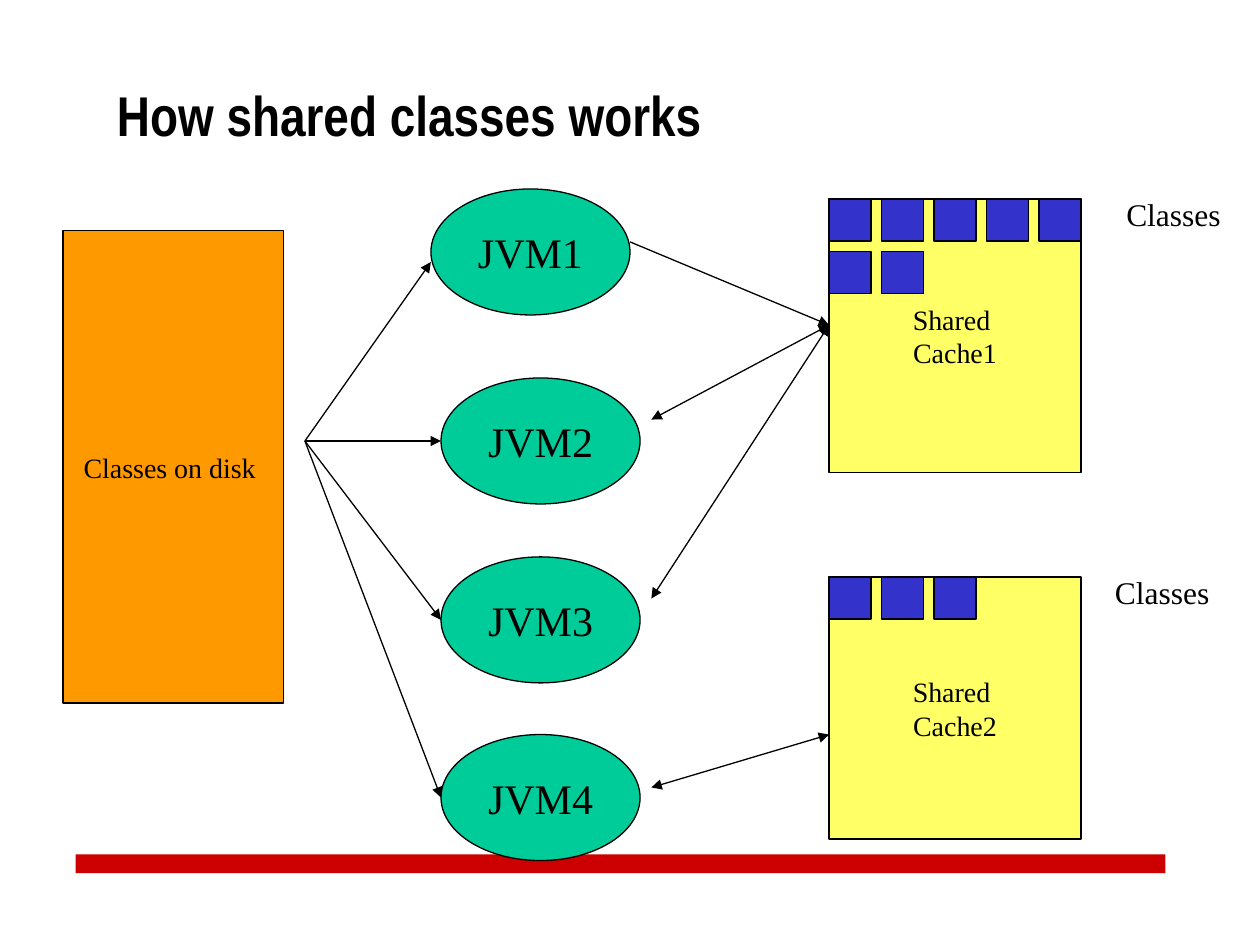
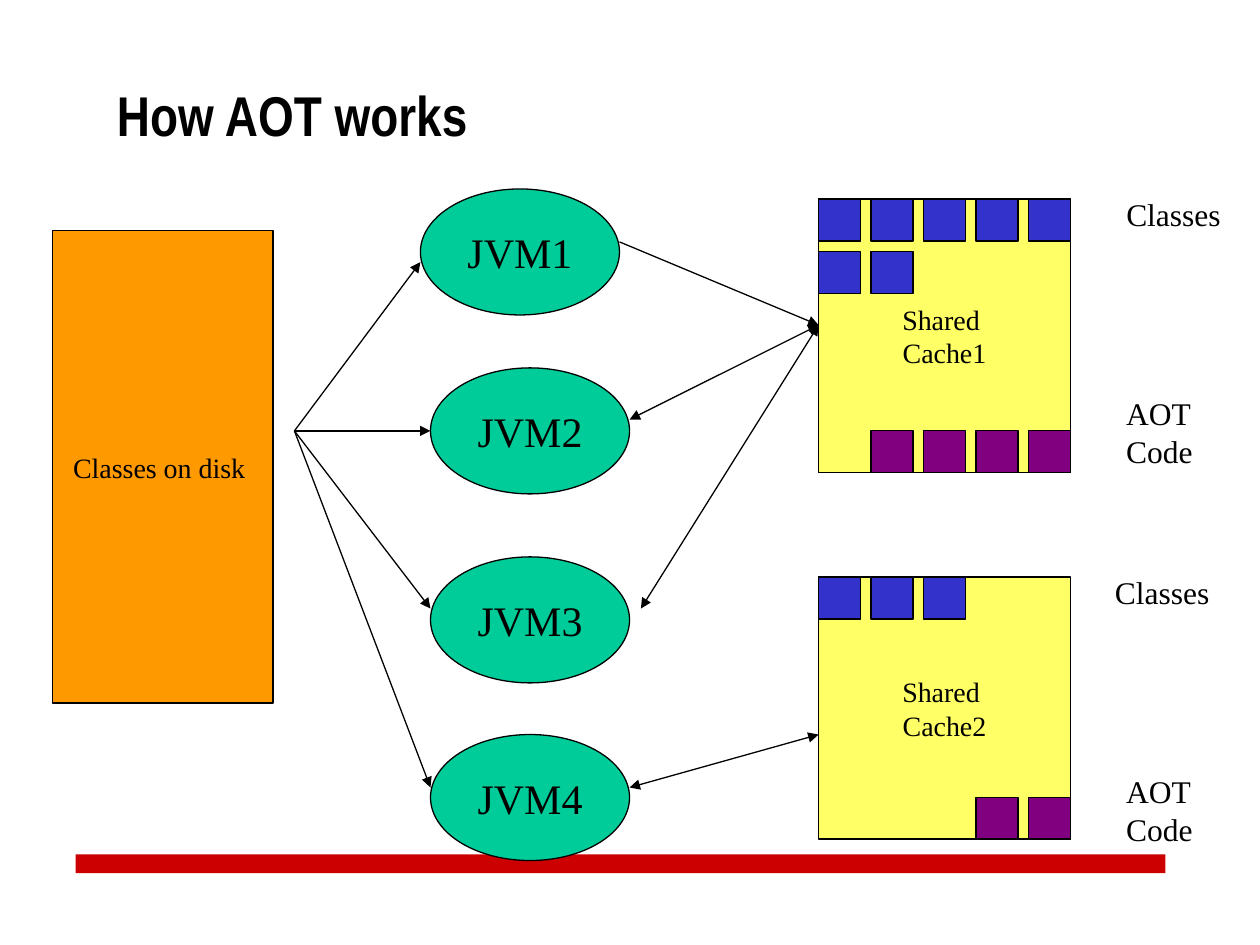
from pptx import Presentation
from pptx.dml.color import RGBColor
from pptx.enum.shapes import MSO_CONNECTOR as Connector, MSO_SHAPE as Shape
from pptx.enum.text import MSO_ANCHOR as Anchor, MSO_AUTO_SIZE as AutoSize, PP_ALIGN as Align
from pptx.oxml.ns import qn
from pptx.util import Inches, Pt
from lxml.etree import SubElement

# Content: x positions are common to both slides, "shift" moves the diagram sideways
PAGES = [
    {
        "title": "How shared classes works",
        "shift": 0,
        "jvm_tops": [1.5, 3, 4.42, 5.83],
        "disk_y": 3.5,
        "load_ys": [2.08, 3.5, 4.92, 6.33],
        "link_starts": [(5, 1.92), (5.17, 3.33), (5.17, 4.75), (5.17, 6.25)],
        "aot_counts": [0, 0],
    },
    {
        "title": "How AOT works",
        "shift": -1 / 12,
        "jvm_tops": [1.5, 2.92, 4.42, 5.83],
        "disk_y": 3.42,
        "load_ys": [2.08, 3.42, 4.83, 6.25],
        "link_starts": [(5, 1.92), (5.08, 3.33), (5.17, 4.83), (5.08, 6.25)],
        "aot_counts": [4, 2],
    },
]
# Name, top, height, class cells per row, left of the "Classes" label
CACHES = [
    ("Cache1", 1.58, 2.17, [5, 2], 8.84),
    ("Cache2", 4.58, 2.08, [3], 8.75),
]
JVM_LEFTS = [3.42, 3.5, 3.5, 3.5]
LINK_END_YS = [2.58, 2.58, 2.58, 5.83]

# Shared style
BLACK, RED, ORANGE = "000000", "CC0000", "FF9900"
GREEN, YELLOW, BLUE, PURPLE = "00CC99", "FFFF00", "3333CC", "800080"
TITLE_FONT, BODY_FONT = "Arial Narrow", "Times New Roman"
CACHE_LEFT, CACHE_WIDTH = 6.58, 2
CELL, PITCH = 1 / 3, 5 / 12


def color(value):
    return RGBColor.from_string(value)


def write(shape, text, size, align=Align.LEFT, font=BODY_FONT, bold=False):
    frame = shape.text_frame
    frame.text = text
    frame.word_wrap = False
    for para in frame.paragraphs:
        para.alignment = align
        for span in para.runs:
            span.font.name = font
            span.font.size = Pt(size)
            span.font.bold = bold
            span.font.color.rgb = color(BLACK)


def add_block(page, kind, left, top, width, height, fill, text="", size=16, outlined=True):
    block = page.shapes.add_shape(
        kind, Inches(left), Inches(top), Inches(width), Inches(height))
    block.shadow.inherit = False
    block.fill.solid()
    block.fill.fore_color.rgb = color(fill)
    if outlined:
        block.line.color.rgb = color(BLACK)
        block.line.width = Pt(0.75)
    else:
        block.line.fill.background()
    if text:
        write(block, text, size, Align.CENTER)
        block.text_frame.vertical_anchor = Anchor.MIDDLE
    return block


def add_label(page, text, left, top, width, height):
    box = page.shapes.add_textbox(Inches(left), Inches(top), Inches(width), Inches(height))
    write(box, text, 18)
    box.text_frame.auto_size = AutoSize.SHAPE_TO_FIT_TEXT


def add_arrow(page, start, end, both_ways=False):
    points = [Inches(value) for value in (*start, *end)]
    arrow = page.shapes.add_connector(Connector.STRAIGHT, *points)
    arrow.line.color.rgb = color(BLACK)
    arrow.line.width = Pt(0.75)
    line = arrow.line._get_or_add_ln()
    for tag in ["a:headEnd", "a:tailEnd"] if both_ways else ["a:tailEnd"]:
        SubElement(line, qn(tag), type="triangle")
    SubElement(arrow._element.spPr, qn("a:effectLst"))


def add_frame(page, title):
    add_block(page, Shape.RECTANGLE, 0.6, 6.78, 8.65, 0.15, RED, outlined=False)
    box = page.shapes.add_textbox(Inches(0.83), Inches(0.28), Inches(8.5), Inches(1.25))
    write(box, title, 32, font=TITLE_FONT, bold=True)
    box.text_frame.word_wrap = True
    box.text_frame.vertical_anchor = Anchor.MIDDLE


def add_cache(page, shift, cache, aot_count):
    name, top, height, rows, label_left = cache
    left = CACHE_LEFT + shift
    block = add_block(page, Shape.RECTANGLE, left, top, CACHE_WIDTH, height,
                      YELLOW, "Shared \n" + name)
    tint = block._element.spPr.find(qn("a:solidFill"))[0]
    SubElement(tint, qn("a:alpha"), val="60000")

    # Classes fill from the top left, AOT code from the bottom right
    for row, count in enumerate(rows):
        for column in range(count):
            add_block(page, Shape.RECTANGLE, left + column * PITCH, top + row * PITCH,
                      CELL, CELL, BLUE)
    for column in range(aot_count):
        add_block(page, Shape.RECTANGLE, left + CACHE_WIDTH - CELL - column * PITCH,
                  top + height - CELL, CELL, CELL, PURPLE)

    add_label(page, "Classes", label_left, top - 0.08, 0.95, 0.4)
    if aot_count:
        add_label(page, "AOT\nCode", 8.84, top + 1.5, 0.73, 0.7)


def add_diagram(page, content):
    shift = content["shift"]
    add_block(page, Shape.RECTANGLE, 0.5 + shift, 1.83, 1.75, 3.75, ORANGE, "Classes on disk ")
    for cache, aot_count in zip(CACHES, content["aot_counts"]):
        add_cache(page, shift, cache, aot_count)

    # Each JVM loads from disk and links to a cache; only the first link is one-way
    disk_point = (2.42 + shift, content["disk_y"])
    jvms = zip(JVM_LEFTS, content["jvm_tops"], content["load_ys"],
               content["link_starts"], LINK_END_YS)
    for number, (left, top, load_y, (link_x, link_y), end_y) in enumerate(jvms, 1):
        add_block(page, Shape.OVAL, left + shift, top, 1.58, 1, GREEN, f"JVM{number}", 24)
        add_arrow(page, disk_point, (left + shift, load_y))
        add_arrow(page, (link_x + shift, link_y), (CACHE_LEFT + shift, end_y), number > 1)


def main():
    deck = Presentation()
    deck.slide_width, deck.slide_height = Inches(10), Inches(7.5)
    for content in PAGES:
        page = deck.slides.add_slide(deck.slide_layouts[6])
        add_frame(page, content["title"])
        add_diagram(page, content)
    deck.save("out.pptx")


if __name__ == "__main__":
    main()
